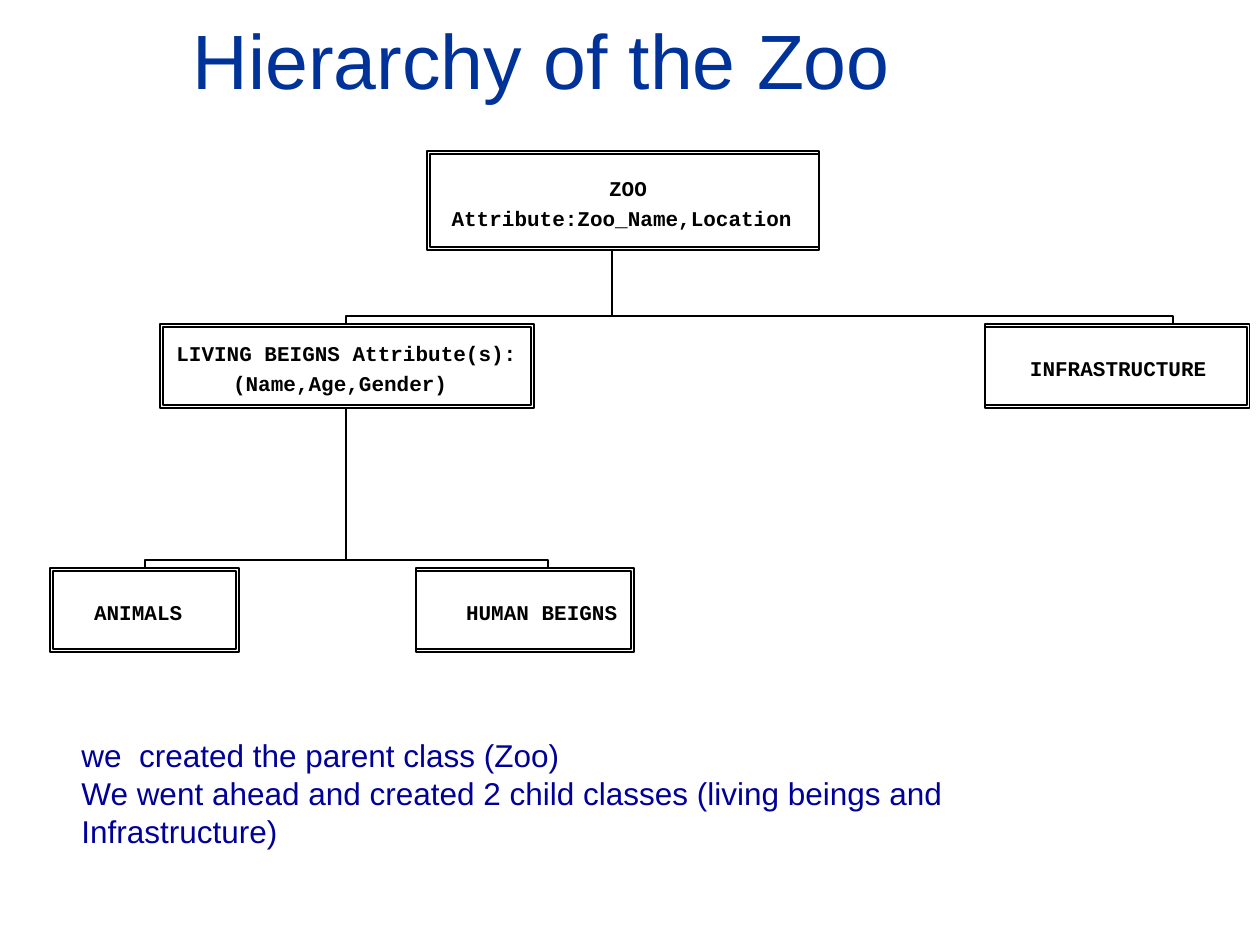
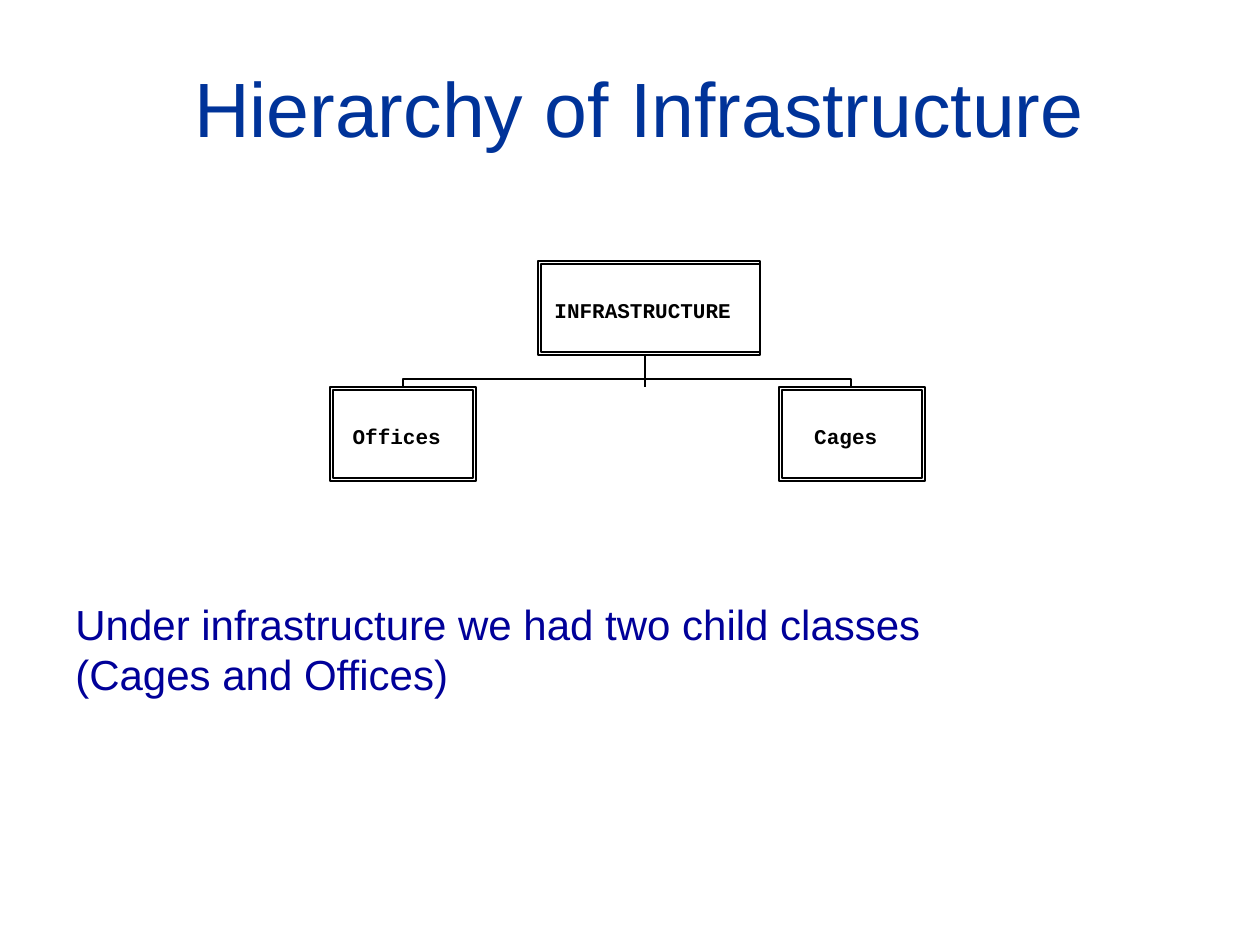
"""Build two slides of class hierarchies for a zoo."""
from dataclasses import dataclass
from lxml.etree import SubElement
from pptx import Presentation
from pptx.dml.color import RGBColor
from pptx.enum.shapes import MSO_CONNECTOR, MSO_SHAPE
from pptx.enum.text import MSO_ANCHOR, MSO_AUTO_SIZE, PP_ALIGN
from pptx.oxml.ns import qn
from pptx.util import Emu, Pt

SCALE = 914400 / 126
DROP = 8
GAP = 3


@dataclass(frozen=True)
class Theme:
    """Colours, fonts and type sizes."""
    title: str = "003399"
    note: str = "000099"
    ink: str = "000000"
    paper: str = "FFFFFF"
    sans: str = "Arial"
    mono: str = "Courier New"
    head: int = 44
    label: int = 12
    rule: float = 0.71


THEME = Theme()

SLIDES = [
    {
        "title": "Hierarchy of the Zoo",
        "place": (180, 6, 916, 106),
        "align": PP_ALIGN.LEFT,
        "nodes": [
            {"text": "ZOO Attribute:Zoo_Name,Location ", "box": (427, 151, 392, 99),
             "sides": (GAP, 0), "span": (437, 382)},
            {"text": "INFRASTRUCTURE ", "box": (985, 324, 265, 84),
             "sides": (0, GAP), "span": (1005, 239)},
            {"text": "LIVING BEIGNS Attribute(s):(Name,Age,Gender) ",
             "box": (160, 324, 374, 84), "sides": (GAP, GAP), "span": (169, 355)},
            {"text": "ANIMALS ", "box": (50, 568, 189, 84),
             "sides": (GAP, GAP), "span": (50, 189)},
            {"text": "HUMAN BEIGNS ", "box": (416, 568, 218, 84),
             "sides": (0, GAP), "span": (441, 214)},
        ],
        "forks": [((612, 250), 324, (346, 1173)), ((346, 408), 568, (145, 548))],
        "stems": [],
        "notes": ["we  created the parent class (Zoo)",
                  "We went ahead and created 2 child classes (living beings and Infrastructure)"],
        "area": (69, 730, 951, 215),
        "size": 18,
    },
    {
        "title": "Hierarchy of Infrastructure",
        "place": (54, 38, 1171, 137),
        "align": PP_ALIGN.CENTER,
        "nodes": [
            {"text": "INFRASTRUCTURE ", "box": (538, 261, 222, 94),
             "sides": (GAP, 0), "span": (513, 272)},
            {"text": "Cages ", "box": (779, 387, 146, 94),
             "sides": (GAP, GAP), "span": (779, 146)},
            {"text": "Offices ", "box": (330, 387, 146, 94),
             "sides": (GAP, GAP), "span": (330, 146)},
        ],
        "forks": [((645, 355), 387, (403, 851))],
        "stems": [(645, 355, 645, 387)],
        "notes": ["Under infrastructure we had two child classes (Cages and Offices)"],
        "area": (63, 592, 995, 176),
        "size": 24,
    },
]


def px(*nums):
    """Turn pixels into EMU."""
    return [Emu(round(n * SCALE)) for n in nums]


def style(frame, font, size, tint, align=PP_ALIGN.LEFT, bold=False):
    """Format every paragraph and run of a text frame."""
    frame.word_wrap = True
    frame.auto_size = MSO_AUTO_SIZE.NONE
    for para in frame.paragraphs:
        para.alignment = align
        for run in para.runs:
            run.font.name = font
            run.font.size = Pt(size)
            run.font.bold = bold
            run.font.color.rgb = RGBColor.from_string(tint)


def stroke(line):
    """Give a line the thin ink rule."""
    line.color.rgb = RGBColor.from_string(THEME.ink)
    line.width = Pt(THEME.rule)


def frame(slide, box, solid):
    """Draw one outlined rectangle."""
    shape = slide.shapes.add_shape(MSO_SHAPE.RECTANGLE, *px(*box))
    shape.shadow.inherit = False
    if solid:
        shape.fill.solid()
        shape.fill.fore_color.rgb = RGBColor.from_string(THEME.paper)
    else:
        shape.fill.background()
    stroke(shape.line)


def node(slide, item):
    """Draw a double-ruled box and its label."""
    left, top, width, height = item["box"]
    west, east = item["sides"]
    frame(slide, item["box"], True)
    frame(slide, (left + west, top + GAP, width - west - east, height - 2 * GAP), False)
    start, span = item["span"]
    text = slide.shapes.add_textbox(*px(start, top, span, height)).text_frame
    text.margin_left = text.margin_right = text.margin_top = text.margin_bottom = 0
    text.vertical_anchor = MSO_ANCHOR.MIDDLE
    text.text = item["text"]
    text.paragraphs[0].line_spacing = 1.2
    style(text, THEME.mono, THEME.label, THEME.ink, PP_ALIGN.CENTER, True)


def fork(slide, root, top, ends):
    """Draw bent lines from a root down to each end."""
    bend = top - DROP
    for end in ends:
        pen = slide.shapes.build_freeform(*root, scale=SCALE)
        pen.add_line_segments([(root[0], bend), (end, bend), (end, top)], close=False)
        shape = pen.convert_to_shape()
        shape.shadow.inherit = False
        shape.fill.background()
        stroke(shape.line)


def stem(slide, ends):
    """Draw one straight line."""
    line = slide.shapes.add_connector(MSO_CONNECTOR.STRAIGHT, *px(*ends))
    stroke(line.line)
    SubElement(line._element.spPr, qn("a:effectLst"))


def build(deck, data):
    """Add one slide with its title, tree and notes."""
    slide = deck.slides.add_slide(deck.slide_layouts[5])
    title = slide.shapes.title
    title.left, title.top, title.width, title.height = px(*data["place"])
    title.text_frame.text = data["title"]
    title.text_frame.vertical_anchor = MSO_ANCHOR.MIDDLE
    style(title.text_frame, THEME.sans, THEME.head, THEME.title, data["align"])
    for item in data["nodes"]:
        node(slide, item)
    for args in data["forks"]:
        fork(slide, *args)
    for ends in data["stems"]:
        stem(slide, ends)
    notes = slide.shapes.add_textbox(*px(*data["area"])).text_frame
    notes.text = "\n".join(data["notes"])
    style(notes, THEME.sans, data["size"], THEME.note)


def main():
    """Build and save the deck."""
    deck = Presentation()
    deck.slide_width, deck.slide_height = px(1260, 945)
    for data in SLIDES:
        build(deck, data)
    deck.save("out.pptx")


if __name__ == "__main__":
    main()
